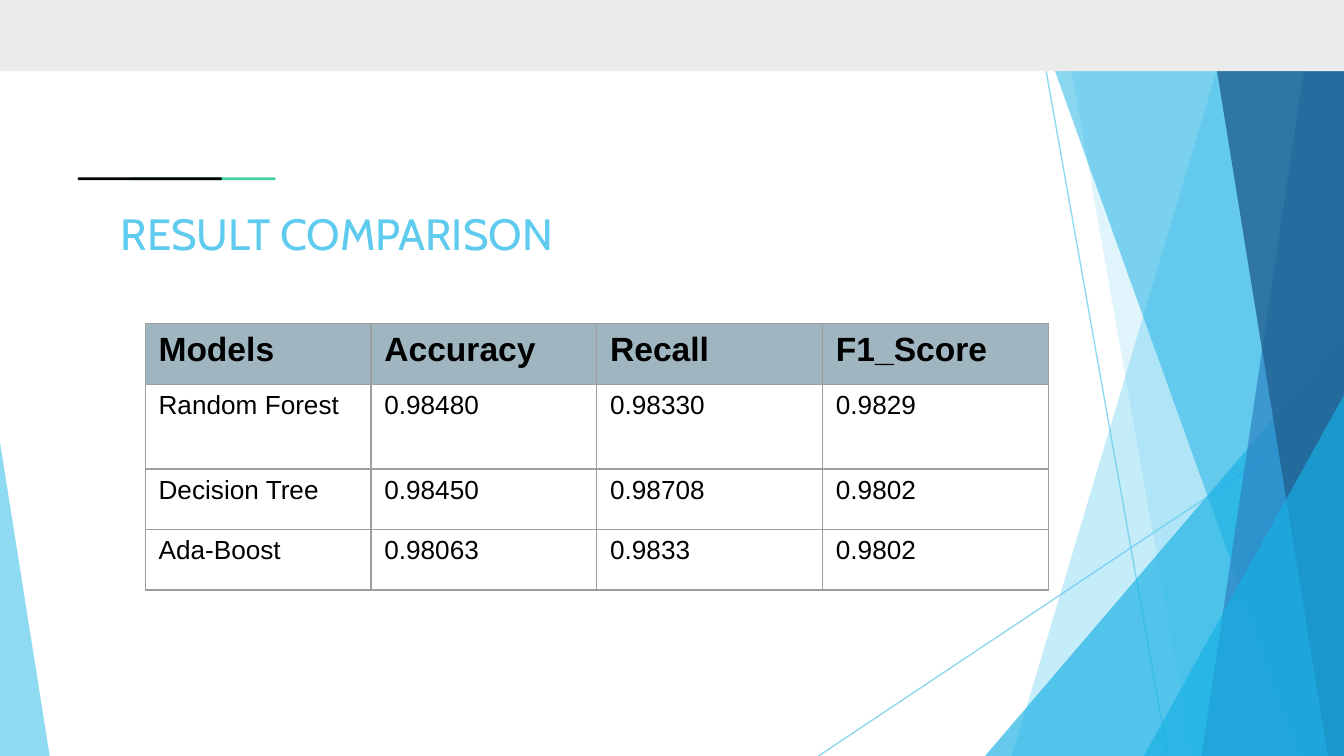
from lxml.etree import SubElement
from pptx import Presentation
from pptx.dml.color import RGBColor
from pptx.enum.shapes import MSO_CONNECTOR, MSO_SHAPE
from pptx.enum.text import MSO_ANCHOR
from pptx.oxml import parse_xml
from pptx.oxml.ns import nsdecls, qn
from pptx.util import Inches, Pt

WIDE = 10
HIGH = WIDE * 9 / 16
SKY, AQUA, BLUE, NAVY = "5FCBEF", "17B0E4", "2E83C3", "226292"
ROWS = [
    ["Models", "Accuracy", "Recall", "F1_Score"],
    ["Random Forest", "0.98480", "0.98330", "0.9829"],
    ["Decision Tree", "0.98450", "0.98708", "0.9802"],
    ["Ada-Boost", "0.98063", "0.9833", "0.9802"],
]


def rgb(code):
    """Turn a hex string into a colour."""
    return RGBColor.from_string(code)


def fade(shape, alpha):
    """Set the opacity, in percent, of the colours of a shape."""
    for node in shape._element.iter(qn("a:srgbClr")):
        SubElement(node, qn("a:alpha")).set("val", str(alpha * 1000))


def paint(shape, code, alpha=100):
    """Give a shape a flat fill without line or shadow."""
    shape.shadow.inherit = False
    shape.line.fill.background()
    shape.fill.solid()
    shape.fill.fore_color.rgb = rgb(code)
    if alpha < 100:
        fade(shape, alpha)


def add_block(slide, kind, box, code, alpha=100):
    """Add a flat preset shape in a box."""
    shape = slide.shapes.add_shape(kind, *map(Inches, box))
    paint(shape, code, alpha)
    return shape


def add_wedge(slide, box, code, alpha, tip):
    """Add a triangle whose tip lies at a share of its width."""
    add_block(slide, MSO_SHAPE.ISOSCELES_TRIANGLE, box, code, alpha).adjustments[0] = tip


def add_band(slide, box, top, foot, code, alpha):
    """Add a band from a slanted left edge to the right side of the box."""
    left, up, width, height = box
    right, down = left + width, up + height
    spots = [(left + top, up), (right, up), (right, down), (left + foot, down)]
    spots = [(Inches(x), Inches(y)) for x, y in spots]
    build = slide.shapes.build_freeform(*spots[0])
    build.add_line_segments(spots[1:], close=True)
    paint(build.convert_to_shape(), code, alpha)


def add_ray(slide, start, end):
    """Add a thin pale line."""
    ray = slide.shapes.add_connector(MSO_CONNECTOR.STRAIGHT, *map(Inches, start + end))
    ray.line.color.rgb = rgb(SKY)
    ray.line.width = Pt(0.75)
    fade(ray, 70)
    SubElement(ray._element.spPr, qn("a:effectLst"))


def add_facets(slide, box):
    """Draw the layered facets along the right side of the box."""
    left, top, width, height = box
    right, foot = left + width, top + height
    add_ray(slide, (left + 0.36, top), (left + 1.36, foot))
    add_ray(slide, (right, top + 3.02), (left - 1.24, foot))
    add_band(slide, box, 1.88, 0.2, SKY, 36)
    add_band(slide, box, 0.55, 1.54, SKY, 20)
    add_wedge(slide, (left, top + 2.5, width, height - 2.5), AQUA, 66, 1)
    add_band(slide, box, 0.33, 2.35, AQUA, 50)
    add_band(slide, box, 2.45, 1.61, BLUE, 70)
    add_band(slide, box, 1.64, 2.55, NAVY, 80)
    add_wedge(slide, (left + 1.18, top + 2.94, width - 1.18, height - 2.94), AQUA, 66, 1)


def add_accent(slide, box):
    """Draw the two overlapping bars of the accent line."""
    left, top, width, height = box
    bar = 1.07
    add_block(slide, MSO_SHAPE.RECTANGLE, (left + width - bar, top, bar, height), "42D0A2")
    add_block(slide, MSO_SHAPE.RECTANGLE, (left, top, bar, height), "000000")


def add_title(slide, box, text):
    """Write the slide title."""
    frame = slide.shapes.add_textbox(*map(Inches, box)).text_frame
    frame.word_wrap = True
    frame.vertical_anchor = MSO_ANCHOR.MIDDLE
    frame.margin_left = frame.margin_right = Inches(0.1)
    frame.margin_top = frame.margin_bottom = Inches(0.1)
    frame.text = text
    font = frame.paragraphs[0].runs[0].font
    font.name, font.size = "Cabin", Pt(23.4)
    font.color.rgb = rgb(SKY)


def add_edges(cell, code):
    """Draw the four borders of a cell."""
    props = cell._tc.get_or_add_tcPr()
    for spot, side in enumerate("LRTB"):
        props.insert(spot, parse_xml(
            f'<a:ln{side} {nsdecls("a")} w="{Pt(0.75)}"><a:solidFill>'
            f'<a:srgbClr val="{code}"/></a:solidFill></a:ln{side}>'))


def fill_cell(cell, text, head):
    """Write and format one table cell."""
    cell.text = text
    font = cell.text_frame.paragraphs[0].runs[0].font
    font.name, font.size, font.bold = "Arial", Pt(18 if head else 14), head
    font.color.rgb = rgb("000000")
    if head:
        cell.fill.solid()
        cell.fill.fore_color.rgb = rgb("9FB6C0")
    else:
        cell.fill.background()
    add_edges(cell, "9E9E9E")


def add_scores(slide, box, rows, sizes):
    """Add the table of model scores."""
    grid = slide.shapes.add_table(len(rows), len(rows[0]), *map(Inches, box)).table
    for col in grid.columns:
        col.width = Inches(box[2] / len(rows[0]))
    for r, (row, size) in enumerate(zip(rows, sizes)):
        grid.rows[r].height = Inches(size)
        for c, text in enumerate(row):
            fill_cell(grid.cell(r, c), text, r == 0)


def main():
    """Build the slide and save it."""
    deck = Presentation()
    deck.slide_width, deck.slide_height = Inches(WIDE), Inches(HIGH)
    slide = deck.slides.add_slide(deck.slide_layouts[6])
    add_facets(slide, (7.33, 0, WIDE - 7.33, HIGH))
    add_wedge(slide, (0, 3.29, 0.37, HIGH - 3.29), SKY, 70, 0)
    add_block(slide, MSO_SHAPE.RECTANGLE, (0, 0, WIDE, 0.53), "EBEBEB")
    add_accent(slide, (0.58, 1.32, 1.47, 0.02))
    add_title(slide, (0.8, 1.44, 8.41, 0.59), "RESULT COMPARISON")
    add_scores(slide, (1.08, 2.41, 6.72, 1.98), ROWS, [0.45, 0.63, 0.45, 0.45])
    deck.save("out.pptx")


if __name__ == "__main__":
    main()
